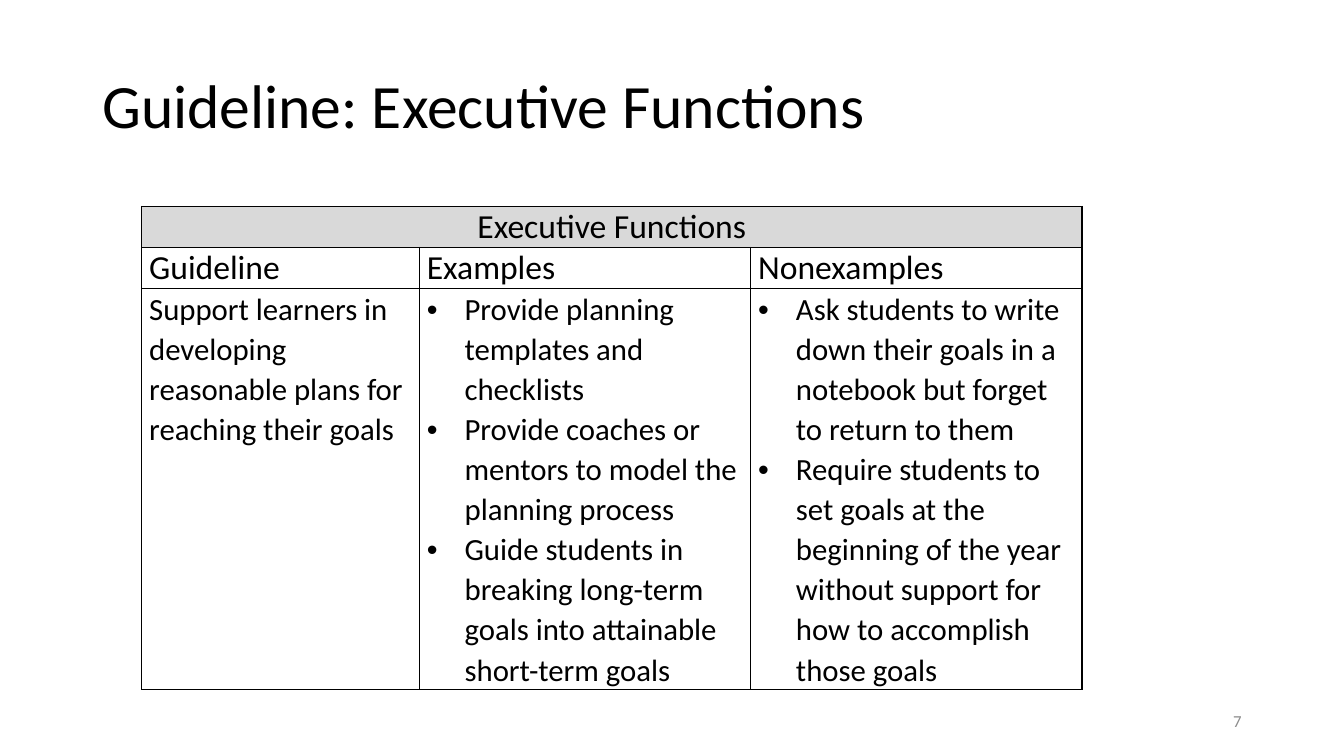
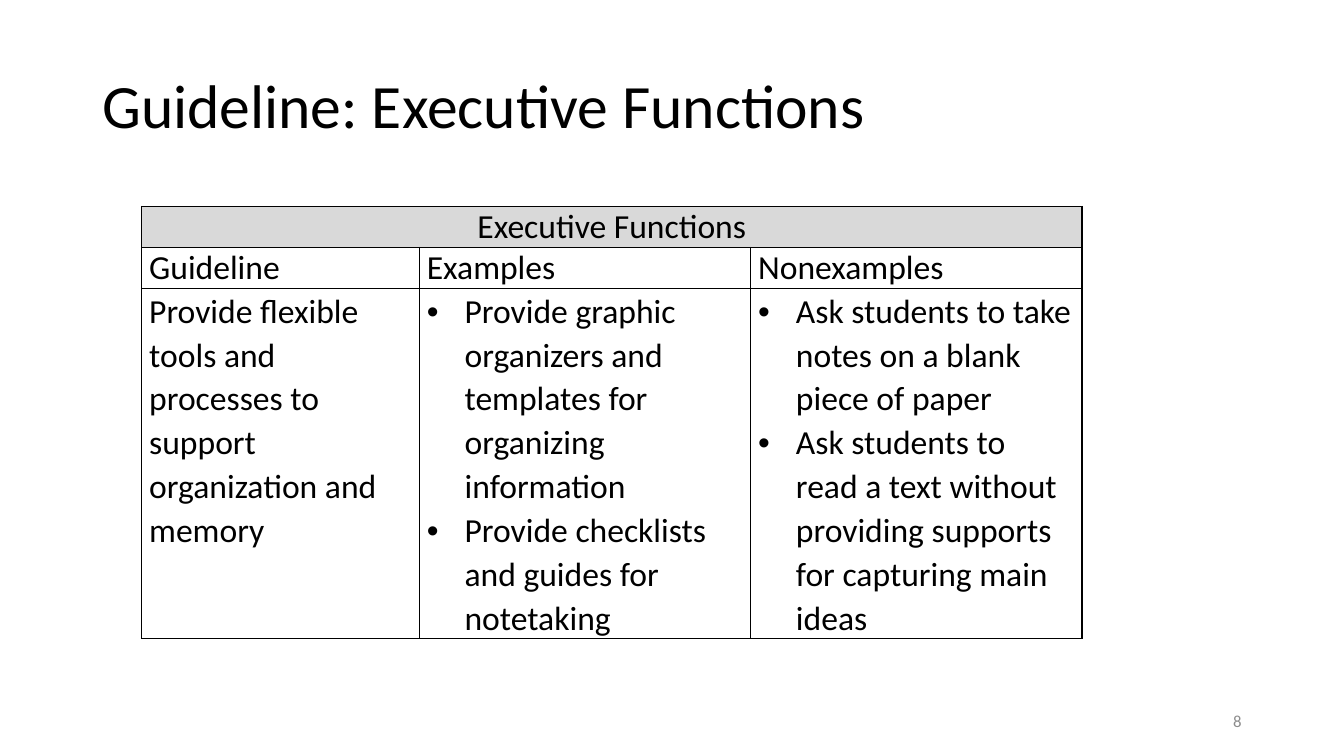
"""Build two guideline slides, each with a table of examples and nonexamples."""
from dataclasses import dataclass
from typing import Optional

from lxml.etree import SubElement
from pptx import Presentation
from pptx.dml.color import RGBColor
from pptx.enum.text import MSO_ANCHOR as Anchor, PP_ALIGN as Align
from pptx.oxml.ns import qn
from pptx.util import Pt

FONT = "Calibri"
BLACK, GREY, BAND = "000000", "8C8C8C", "D9D9D9"
TITLE = "Guideline: Executive Functions"
BAND_TEXT = "Executive Functions"
HEADINGS = ("Guideline", "Examples", "Nonexamples")
COLUMN_WIDTHS = (198.3, 236.7, 236.7)
HEADER_HEIGHT = 29.3
TABLE_LEFT, TABLE_TOP = 101.2, 147.5
BULLET_INDENT = 27
FIRST_PAGE = 7


@dataclass(frozen=True)
class TextStyle:
    size: float
    colour: str = BLACK
    align: Align = Align.LEFT
    spacing: float = 1.0
    bullet: Optional[str] = None


@dataclass(frozen=True)
class Guideline:
    text: str
    examples: tuple[str, ...]
    nonexamples: tuple[str, ...]
    size: float
    body_height: float


TITLE_STYLE = TextStyle(44, spacing=0.9)
NUMBER_STYLE = TextStyle(12, GREY, Align.RIGHT)
BAND_STYLE = TextStyle(24, align=Align.CENTER)
HEADING_STYLE = TextStyle(24)

GUIDELINES = (
    Guideline(
        "Support learners in developing reasonable plans for reaching their goals",
        (
            "Provide planning templates and checklists",
            "Provide coaches or mentors to model the planning process",
            "Guide students in breaking long-term goals into attainable short-term goals",
        ),
        (
            "Ask students to write down their goals in a notebook but forget to return to them",
            "Require students to set goals at the beginning of the year without support "
            "for how to accomplish those goals",
        ),
        22, 286.5,
    ),
    Guideline(
        "Provide flexible tools and processes to support organization and memory",
        (
            "Provide graphic organizers and templates for organizing information",
            "Provide checklists and guides for notetaking",
        ),
        (
            "Ask students to take notes on a blank piece of paper",
            "Ask students to read a text without providing supports for capturing main ideas",
        ),
        24, 250,
    ),
)


def rgb(colour: str) -> RGBColor:
    return RGBColor.from_string(colour)


def write(frame, lines: tuple[str, ...], style: TextStyle) -> None:
    for index, line in enumerate(lines):
        para = frame.add_paragraph() if index else frame.paragraphs[0]
        if style.bullet:
            properties = para._p.get_or_add_pPr()
            properties.set("marL", str(Pt(BULLET_INDENT)))
            properties.set("indent", str(-Pt(BULLET_INDENT)))
            SubElement(properties, qn("a:buFont"), typeface="Arial")
            SubElement(properties, qn("a:buChar"), char=style.bullet)
        para.alignment = style.align
        para.line_spacing = style.spacing
        span = para.add_run()
        span.text = line
        for name, value in {"name": FONT, "size": Pt(style.size)}.items():
            setattr(span.font, name, value)
        span.font.color.rgb = rgb(style.colour)


def add_text(page, text: str, place: tuple[float, ...], style: TextStyle) -> None:
    frame = page.shapes.add_textbox(*map(Pt, place)).text_frame
    frame.word_wrap = True
    frame.vertical_anchor = Anchor.MIDDLE
    write(frame, (text,), style)


def format_cell(cell, fill: Optional[str] = None) -> None:
    layout = {
        "margin_left": Pt(5.4), "margin_right": Pt(5.4),
        "margin_top": Pt(0), "margin_bottom": Pt(0),
        "vertical_anchor": Anchor.TOP,
    }
    for name, value in layout.items():
        setattr(cell, name, value)
    properties = cell._tc.get_or_add_tcPr()
    for side in ("lnL", "lnR", "lnT", "lnB"):
        line = SubElement(properties, qn(f"a:{side}"), w=str(Pt(1)))
        paint = SubElement(line, qn("a:solidFill"))
        SubElement(paint, qn("a:srgbClr"), val=BLACK)
    if fill:
        cell.fill.solid()
        cell.fill.fore_color.rgb = rgb(fill)
    else:
        cell.fill.background()


def add_guideline_table(page, guideline: Guideline) -> None:
    heights = (HEADER_HEIGHT, HEADER_HEIGHT, guideline.body_height)
    place = (TABLE_LEFT, TABLE_TOP, sum(COLUMN_WIDTHS), sum(heights))
    table = page.shapes.add_table(
        len(heights), len(COLUMN_WIDTHS), *map(Pt, place)
    ).table
    for name in ("first_row", "horz_banding"):
        setattr(table, name, False)
    for column, width in zip(table.columns, COLUMN_WIDTHS):
        column.width = Pt(width)
    for index, (row, height) in enumerate(zip(table.rows, heights)):
        row.height = Pt(height)
        for cell in row.cells:
            format_cell(cell, None if index else BAND)

    table.cell(0, 0).merge(table.cell(0, len(COLUMN_WIDTHS) - 1))
    write(table.cell(0, 0).text_frame, (BAND_TEXT,), BAND_STYLE)
    bodies = ((guideline.text,), guideline.examples, guideline.nonexamples)
    for index, (heading, lines) in enumerate(zip(HEADINGS, bodies)):
        write(table.cell(1, index).text_frame, (heading,), HEADING_STYLE)
        style = TextStyle(guideline.size, spacing=1.07, bullet="•" if index else None)
        write(table.cell(2, index).text_frame, lines, style)


def main() -> None:
    deck = Presentation()
    deck.slide_width, deck.slide_height = Pt(960), Pt(540)
    for number, guideline in enumerate(GUIDELINES, FIRST_PAGE):
        page = deck.slides.add_slide(deck.slide_layouts[6])
        add_text(page, TITLE, (66, 25.2, 828, 104.4), TITLE_STYLE)
        add_guideline_table(page, guideline)
        add_text(page, str(number), (678, 500.5, 216, 28.8), NUMBER_STYLE)
    deck.save("out.pptx")


if __name__ == "__main__":
    main()
